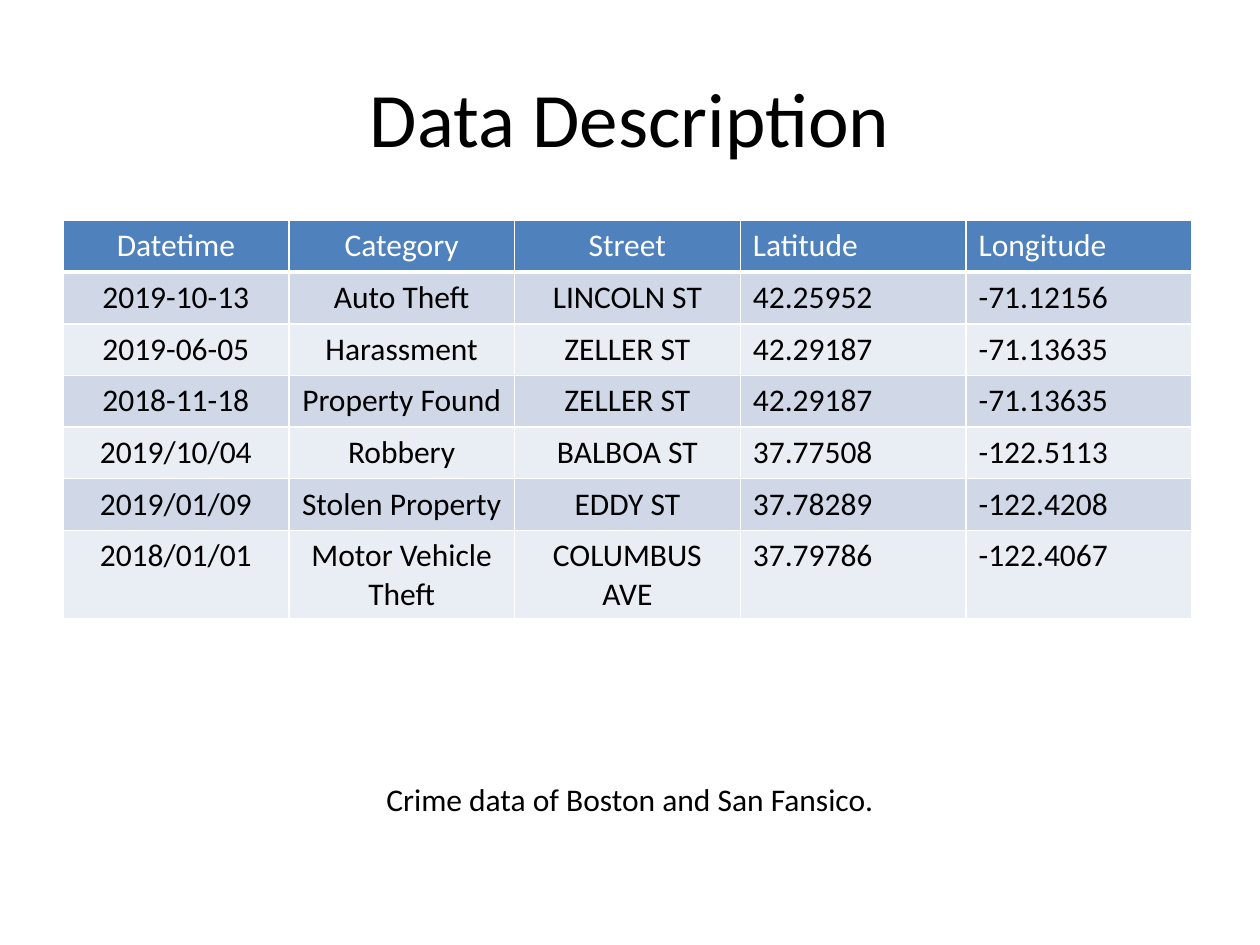
from lxml.etree import SubElement
from pptx import Presentation
from pptx.dml.color import RGBColor
from pptx.enum.text import MSO_ANCHOR, PP_ALIGN
from pptx.oxml.ns import qn
from pptx.util import Inches, Pt

BLACK = RGBColor(0x00, 0x00, 0x00)
WHITE = RGBColor(0xFF, 0xFF, 0xFF)
HEADER_BLUE = RGBColor(0x4F, 0x81, 0xBD)
BANDS = (RGBColor(0xE9, 0xED, 0xF4), RGBColor(0xD0, 0xD8, 0xE8))
FONT = "Calibri"
CENTERED_COLUMNS = 3

RECORDS = [
    ("Datetime", "Category", "Street", "Latitude", "Longitude"),
    ("2019-10-13", "Auto Theft", "LINCOLN ST", "42.25952", "-71.12156"),
    ("2019-06-05", "Harassment", "ZELLER ST", "42.29187", "-71.13635"),
    ("2018-11-18", "Property Found", "ZELLER ST", "42.29187", "-71.13635"),
    ("2019/10/04", "Robbery", "BALBOA ST", "37.77508", "-122.5113"),
    ("2019/01/09", "Stolen Property", "EDDY ST", "37.78289", "-122.4208"),
    ("2018/01/01", "Motor Vehicle Theft", "COLUMBUS AVE", "37.79786", "-122.4067"),
]


def write_text(text_frame, text, size, color, alignment):
    """Fill a text frame with one formatted paragraph."""
    text_frame.text = text
    paragraph = text_frame.paragraphs[0]
    paragraph.alignment = alignment
    font = paragraph.runs[0].font
    font.name = FONT
    font.size = Pt(size)
    font.color.rgb = color


def add_centered_text(slide, text, size, anchor, left, top, width, height):
    """Place a centred line of text in the given box."""
    text_frame = slide.shapes.add_textbox(left, top, width, height).text_frame
    text_frame.word_wrap = True
    text_frame.vertical_anchor = anchor
    write_text(text_frame, text, size, BLACK, PP_ALIGN.CENTER)


def set_borders(cell, bottom_width):
    """Draw white borders, one point wide except at the bottom."""
    properties = cell._tc.get_or_add_tcPr()
    sides = {"a:lnL": 1, "a:lnR": 1, "a:lnT": 1, "a:lnB": bottom_width}
    for position, (tag, width) in enumerate(sides.items()):
        line = SubElement(properties, qn(tag), w=str(Pt(width)))
        fill = SubElement(line, qn("a:solidFill"))
        SubElement(fill, qn("a:srgbClr"), val=str(WHITE))
        properties.insert(position, line)


def add_crime_table(slide, left, top, width, row_height, last_height):
    """Place the table of crime records with a header and banded rows."""
    row_count, column_count = len(RECORDS), len(RECORDS[0])
    height = row_height * (row_count - 1) + last_height
    table = slide.shapes.add_table(
        row_count, column_count, left, top, width, height
    ).table
    for row in table.rows:
        row.height = row_height
    table.rows[row_count - 1].height = last_height
    for row_index, record in enumerate(RECORDS):
        is_header = row_index == 0
        for column_index, text in enumerate(record):
            cell = table.cell(row_index, column_index)
            centered = column_index < CENTERED_COLUMNS
            write_text(
                cell.text_frame, text, 18, WHITE if is_header else BLACK,
                PP_ALIGN.CENTER if centered else PP_ALIGN.LEFT,
            )
            cell.fill.solid()
            cell.fill.fore_color.rgb = HEADER_BLUE if is_header else BANDS[row_index % 2]
            set_borders(cell, 3 if is_header else 1)


def main():
    """Build the data description slide."""
    presentation = Presentation()
    presentation.slide_width = Inches(10)
    presentation.slide_height = Inches(7.5)
    slide = presentation.slides.add_slide(presentation.slide_layouts[6])
    add_centered_text(
        slide, "Data Description", 44, MSO_ANCHOR.MIDDLE,
        Inches(0.5), Inches(0.3), Inches(9), Inches(1.25),
    )
    add_crime_table(
        slide, Inches(0.5), Inches(1.75), Inches(8.96), Inches(0.41), Inches(0.7)
    )
    add_centered_text(
        slide, "Crime data of Boston and San Fansico.", 18, MSO_ANCHOR.TOP,
        Inches(0.5), Inches(6.14), Inches(9), Inches(0.56),
    )
    presentation.save("out.pptx")


if __name__ == "__main__":
    main()
